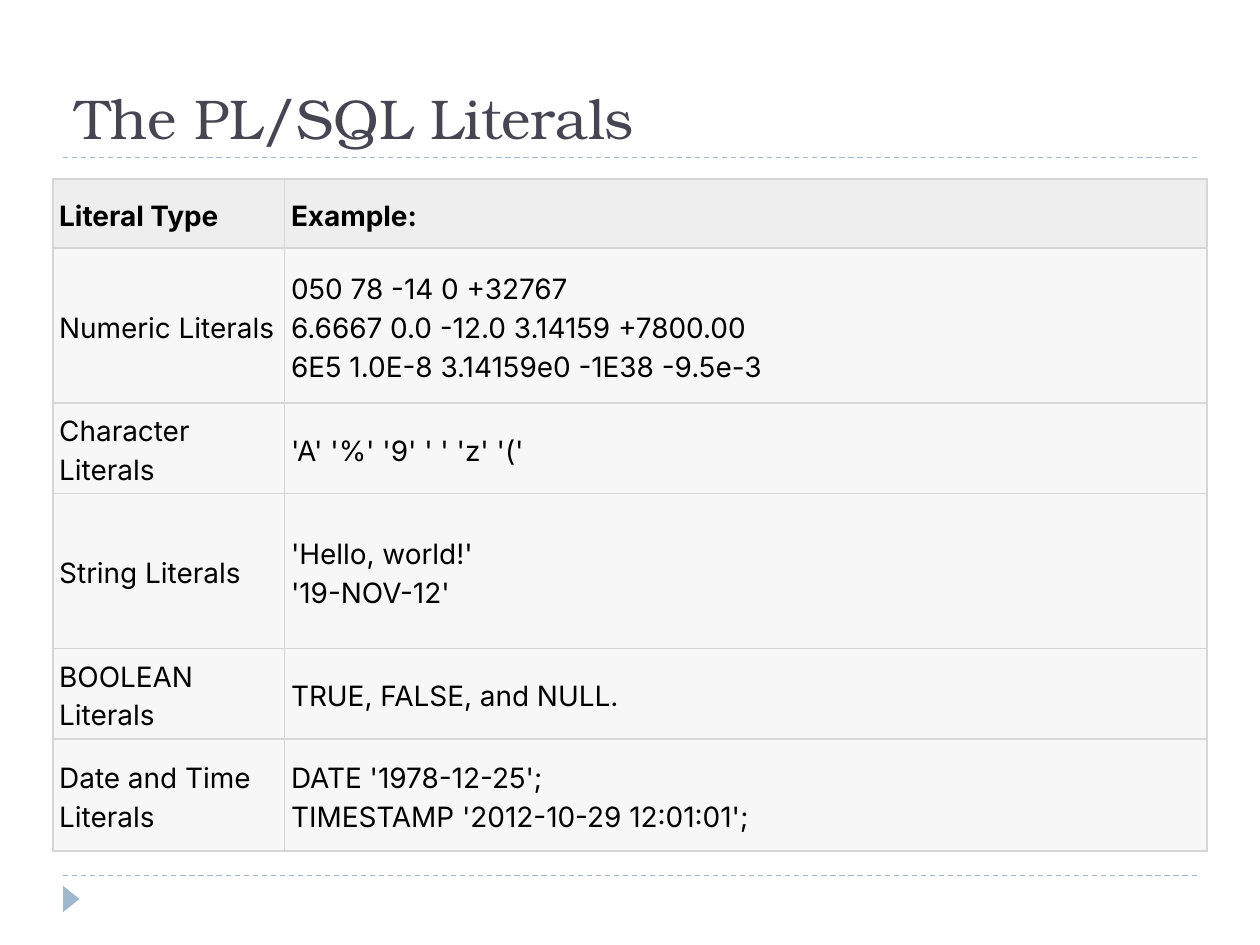
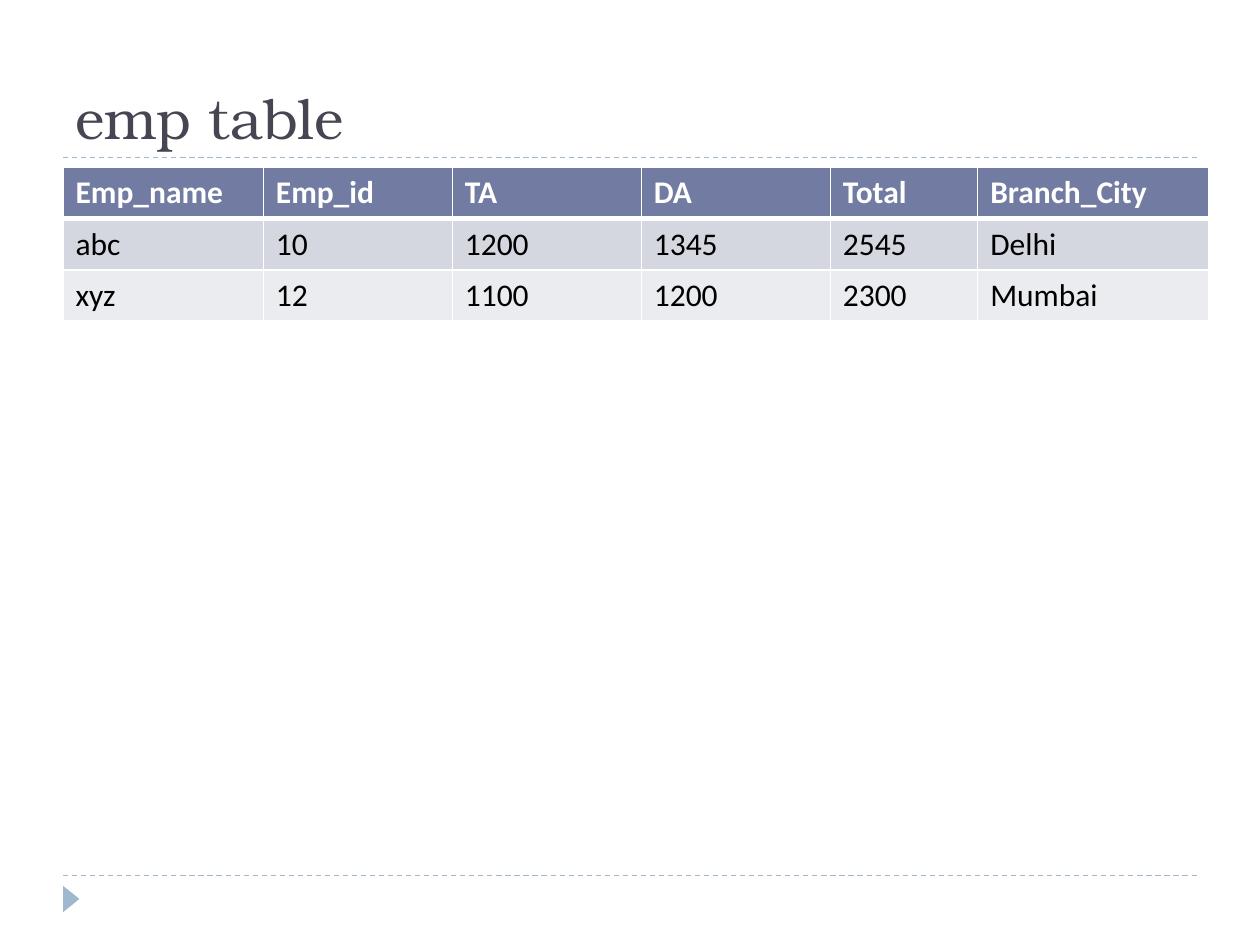
"""Build two slides on PL/SQL: a table of literals and a sample emp table."""
import copy
import dataclasses

import lxml.etree
import pptx
import pptx.dml.color
import pptx.enum.dml
import pptx.enum.shapes
import pptx.enum.text
import pptx.oxml.ns
import pptx.util

qn = pptx.oxml.ns.qn
Anchor = pptx.enum.text.MSO_ANCHOR


@dataclasses.dataclass(frozen=True)
class TableLook:
    font: str
    size: int
    header_color: str
    header_fill: str
    row_fills: tuple
    border: str
    header_rule: int
    side_margin: float
    anchor: Anchor
    spacing: float


@dataclasses.dataclass(frozen=True)
class Theme:
    title_font: str = "TeX Gyre Bonum"
    title_size: int = 32
    title_color: str = "464653"
    accent: str = "9FB8CD"
    rule_width: float = 0.75
    body_color: str = "000000"
    border_width: int = 1
    framed: TableLook = TableLook(
        "Inter", 16, "000000", "EEEEEE", ("F7F7F7",), "D6D6D6", 1, 0.5, Anchor.MIDDLE, 1.15)
    banded: TableLook = TableLook(
        "Calibri", 18, "FFFFFF", "727CA3", ("D5D7E0", "EBECF0"), "FFFFFF", 3, 1, Anchor.TOP, 1.0)


def rgb(code):
    return pptx.dml.color.RGBColor.from_string(code)


def write(frame, content, *, font, size, color, bold=False, spacing=None):
    paragraph = frame.paragraphs[0]
    paragraph.text = content
    paragraph.alignment = pptx.enum.text.PP_ALIGN.LEFT
    paragraph.line_spacing = spacing
    for run in paragraph.runs:
        run.font.name = font
        run.font.size = pptx.util.Pt(size)
        run.font.bold = bold
        run.font.color.rgb = rgb(color)
    for line_break in paragraph._p.findall(qn("a:br")):
        line_break.insert(0, copy.deepcopy(paragraph.runs[0]._r.rPr))


class Deck:
    COLUMNS, ROWS = 100, 75

    def __init__(self, theme):
        self.theme = theme
        self.presentation = pptx.Presentation()
        self.presentation.slide_width = pptx.util.Inches(10)
        self.presentation.slide_height = pptx.util.Inches(7.5)
        self.slide = None

    def x(self, columns):
        return round(self.presentation.slide_width * columns / self.COLUMNS)

    def y(self, rows):
        return round(self.presentation.slide_height * rows / self.ROWS)

    def box(self, left, top, width, height):
        return self.x(left), self.y(top), self.x(width), self.y(height)

    def start(self, heading):
        self.slide = self.presentation.slides.add_slide(self.presentation.slide_layouts[5])
        self.title(heading)
        for row in (69.5, 12.5):
            self.rule(row)
        self.marker()

    def title(self, heading):
        title = self.slide.shapes.title
        title.left, title.top, title.width, title.height = self.box(5, 1.7, 90, 10.8)
        title.text_frame.vertical_anchor = Anchor.BOTTOM
        write(title.text_frame, heading, font=self.theme.title_font,
              size=self.theme.title_size, color=self.theme.title_color)

    def rule(self, row):
        rule = self.slide.shapes.add_connector(
            pptx.enum.shapes.MSO_CONNECTOR.STRAIGHT,
            self.x(5), self.y(row), self.x(95), self.y(row))
        rule.line.color.rgb = rgb(self.theme.accent)
        rule.line.width = pptx.util.Pt(self.theme.rule_width)
        rule.line.dash_style = pptx.enum.dml.MSO_LINE.DASH
        lxml.etree.SubElement(rule._element.spPr, qn("a:effectLst"))

    def marker(self):
        marker = self.slide.shapes.add_shape(
            pptx.enum.shapes.MSO_SHAPE.ISOSCELES_TRIANGLE, *self.box(4.6, 70.7, 2.1, 1.3))
        marker.rotation = 90
        marker.shadow.inherit = False
        marker.fill.solid()
        marker.fill.fore_color.rgb = rgb(self.theme.accent)
        marker.line.fill.background()

    def table(self, records, left, top, widths, heights, look):
        table = self.slide.shapes.add_table(
            len(records), len(widths),
            *self.box(left, top, sum(widths), sum(heights))).table
        table.horz_banding = False
        for column, width in zip(table.columns, widths):
            column.width = self.x(width)
        for row, height in zip(table.rows, heights):
            row.height = self.y(height)
        for row_index, record in enumerate(records):
            for column_index, content in enumerate(record):
                self.cell(table.cell(row_index, column_index), content, row_index, look)

    def cell(self, cell, content, row_index, look):
        header = row_index == 0
        thin = self.theme.border_width
        self.borders(cell, look.border, {
            "L": thin, "R": thin,
            "T": look.header_rule if row_index == 1 else thin,
            "B": look.header_rule if header else thin})
        fill = look.header_fill if header else look.row_fills[(row_index - 1) % len(look.row_fills)]
        cell.fill.solid()
        cell.fill.fore_color.rgb = rgb(fill)
        cell.vertical_anchor = look.anchor
        cell.margin_left = cell.margin_right = self.x(look.side_margin)
        cell.margin_top = cell.margin_bottom = self.y(0.5)
        write(cell.text_frame, content, font=look.font, size=look.size, bold=header,
              color=look.header_color if header else self.theme.body_color,
              spacing=look.spacing)

    def borders(self, cell, color, widths):
        properties = cell._tc.get_or_add_tcPr()
        for side, width in widths.items():
            edge = lxml.etree.SubElement(
                properties, qn(f"a:ln{side}"), w=str(pptx.util.Pt(width)))
            paint = lxml.etree.SubElement(edge, qn("a:solidFill"))
            lxml.etree.SubElement(paint, qn("a:srgbClr"), val=color)


LITERALS = (
    ("Literal Type", "Example:"),
    ("Numeric Literals",
     "050 78 -14 0 +32767\n6.6667 0.0 -12.0 3.14159 +7800.00\n"
     "6E5 1.0E-8 3.14159e0 -1E38 -9.5e-3"),
    ("Character Literals", "'A' '%' '9' ' ' 'z' '('"),
    ("String Literals", "'Hello, world!'\n'19-NOV-12'"),
    ("BOOLEAN Literals", "TRUE, FALSE, and NULL."),
    ("Date and Time Literals", "DATE '1978-12-25';\nTIMESTAMP '2012-10-29 12:01:01';"),
)

EMPLOYEES = (
    ("Emp_name", "Emp_id", "TA", "DA", "Total", "Branch_City"),
    ("abc", "10", "1200", "1345", "2545", "Delhi"),
    ("xyz", "12", "1100", "1200", "2300", "Mumbai"),
)


def main():
    theme = Theme()
    deck = Deck(theme)

    deck.start("The PL/SQL Literals")
    deck.table(LITERALS, 4.2, 14.2, widths=(18.4, 73.2),
               heights=(5.5, 12.3, 5.5, 12.3, 5.5, 8.9), look=theme.framed)

    deck.start("emp table")
    deck.table(EMPLOYEES, 5, 13.3, widths=(15.9, 15, 15, 15, 11.7, 18.3),
               heights=(4.06,) * len(EMPLOYEES), look=theme.banded)

    deck.presentation.save("out.pptx")


if __name__ == "__main__":
    main()
